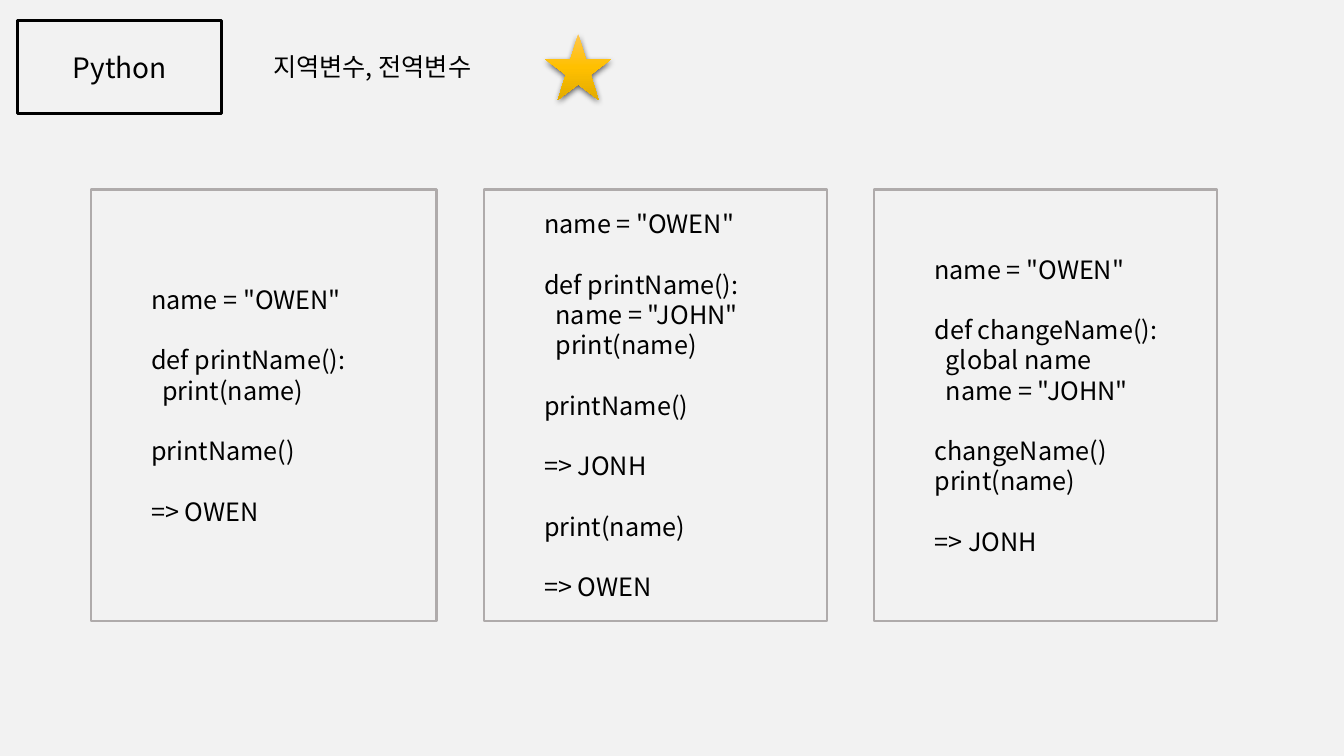
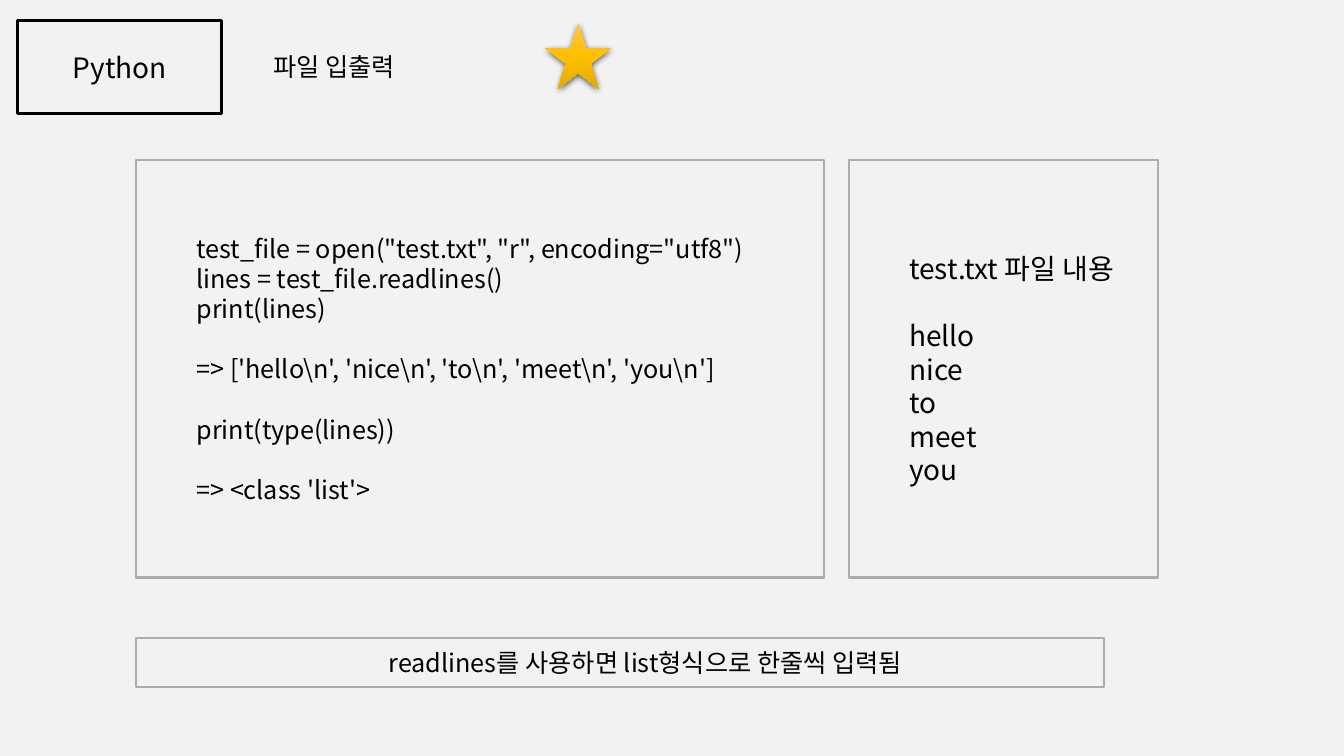
from pptx import Presentation
from pptx.dml.color import RGBColor
from pptx.enum.shapes import MSO_SHAPE
from pptx.enum.text import MSO_ANCHOR, PP_ALIGN
from pptx.oxml import parse_xml
from pptx.oxml.ns import nsdecls, qn
from pptx.util import Inches, Pt

RECT, STAR = MSO_SHAPE.RECTANGLE, MSO_SHAPE.STAR_5_POINT
TOP, MIDDLE = MSO_ANCHOR.TOP, MSO_ANCHOR.MIDDLE
LEFT, CENTER = PP_ALIGN.LEFT, PP_ALIGN.CENTER

FONT = "Noto Sans CJK KR"
BACKGROUND, INK, BORDER = "F2F2F2", "000000", "AFABAB"
STAR_STOPS = [(0, "FFC64B"), (50, "FFC000"), (100, "E3AB00")]
LINE_HEIGHT = 1.2
PANEL_INDENT = 0.5

LOCAL_CODE = '''name = "OWEN"

def printName():
  print(name)

printName()

=> OWEN'''

SHADOWED_CODE = '''name = "OWEN"

def printName():
  name = "JOHN"
  print(name)

printName()

=> JONH

print(name)

=> OWEN'''

GLOBAL_CODE = '''name = "OWEN"

def changeName():
  global name
  name = "JOHN"

changeName()
print(name)

=> JONH'''

READ_CODE = r'''test_file = open("test.txt", "r", encoding="utf8")
lines = test_file.readlines()
print(lines)

=> ['hello\n', 'nice\n', 'to\n', 'meet\n', 'you\n']

print(type(lines))

=> <class 'list'>'''

FILE_CONTENT = '''test.txt 파일 내용

hello
nice
to
meet
you'''


def rgb(color):
    return RGBColor.from_string(color)


def write(tf, text, size=18, align=LEFT, anchor=TOP, indent=0):
    """Write one paragraph per line; an empty line becomes space before the next."""
    tf.word_wrap = True
    tf.vertical_anchor = anchor
    height = Pt(size * LINE_HEIGHT)
    p, gap = tf.paragraphs[0], False
    for i, line in enumerate(text.split("\n")):
        if not line:
            gap = True
            continue
        if i:
            p = tf.add_paragraph()
        p.alignment = align
        p.line_spacing = height
        if gap:
            p.space_before = height
            gap = False
        p._p.get_or_add_pPr().set("marL", str(Inches(indent)))
        r = p.add_run()
        r.text = line
        r.font.size, r.font.name = Pt(size), FONT
        r.font.color.rgb = rgb(INK)
        east_asian = parse_xml(f'<a:ea {nsdecls("a")} typeface="{FONT}"/>')
        r.font._element.find(qn("a:latin")).addnext(east_asian)


def add_text(slide, x, y, w, h, text, **style):
    box = slide.shapes.add_textbox(Inches(x), Inches(y), Inches(w), Inches(h))
    write(box.text_frame, text, **style)


def add_frame(slide, x, y, w, h, color=BORDER, width=1.5):
    """Add an unfilled, outlined rectangle."""
    s = slide.shapes.add_shape(RECT, Inches(x), Inches(y), Inches(w), Inches(h))
    s.shadow.inherit = False
    s.fill.background()
    s.line.color.rgb = rgb(color)
    s.line.width = Pt(width)
    return s


def add_panel(slide, x, y, w, h, text, **style):
    s = add_frame(slide, x, y, w, h)
    write(s.text_frame, text, anchor=MIDDLE, indent=PANEL_INDENT, **style)


def add_star(slide, y):
    s = slide.shapes.add_shape(STAR, Inches(5.41), Inches(y), Inches(0.65), Inches(0.65))
    s.line.fill.background()
    s.shadow.inherit = False
    sp_pr = s._element.spPr
    stops = "".join(f'<a:gs pos="{pos * 1000}"><a:srgbClr val="{color}"/></a:gs>'
                    for pos, color in STAR_STOPS)
    sp_pr.find(qn("a:ln")).addprevious(parse_xml(
        f'<a:gradFill {nsdecls("a")} rotWithShape="1"><a:gsLst>{stops}</a:gsLst>'
        '<a:lin ang="5400000" scaled="0"/></a:gradFill>'))
    sp_pr.find(qn("a:effectLst")).append(parse_xml(
        f'<a:outerShdw {nsdecls("a")} blurRad="{Pt(4.5)}" dist="{Pt(1.5)}" '
        'dir="5400000" algn="ctr" rotWithShape="0"><a:srgbClr val="000000">'
        '<a:alpha val="63000"/></a:srgbClr></a:outerShdw>'))


def add_topic_slide(prs, title, star_top):
    """Start a slide with the shared background, subject box, title and star."""
    slide = prs.slides.add_slide(prs.slide_layouts[6])
    slide.background.fill.solid()
    slide.background.fill.fore_color.rgb = rgb(BACKGROUND)
    add_frame(slide, 0.17, 0.2, 2.03, 0.93, color=INK, width=2)
    add_text(slide, 0.23, 0.45, 1.92, 0.44, "Python", size=20, align=CENTER, anchor=MIDDLE)
    add_text(slide, 2.61, 0.46, 3.64, 0.4, title)
    add_star(slide, star_top)
    return slide


def build_variables(prs):
    slide = add_topic_slide(prs, "지역변수, 전역변수", 0.34)
    x, gap = 0.9, 0.47
    for width, code in [(3.43, LOCAL_CODE), (3.4, SHADOWED_CODE), (3.4, GLOBAL_CODE)]:
        add_panel(slide, x, 1.88, width, 4.28, code)
        x += width + gap


def build_file_io(prs):
    slide = add_topic_slide(prs, "파일 입출력", 0.23)
    add_panel(slide, 1.35, 1.59, 6.82, 4.14, READ_CODE)
    add_panel(slide, 8.42, 1.59, 3.07, 4.14, FILE_CONTENT, size=20)
    add_panel(slide, 1.35, 6.33, 9.6, 0.49,
              "readlines를 사용하면 list형식으로 한줄씩 입력됨", align=CENTER)


def main():
    prs = Presentation()
    prs.slide_width, prs.slide_height = Inches(13.33), Inches(7.5)
    build_variables(prs)
    build_file_io(prs)
    prs.save("out.pptx")


if __name__ == "__main__":
    main()
